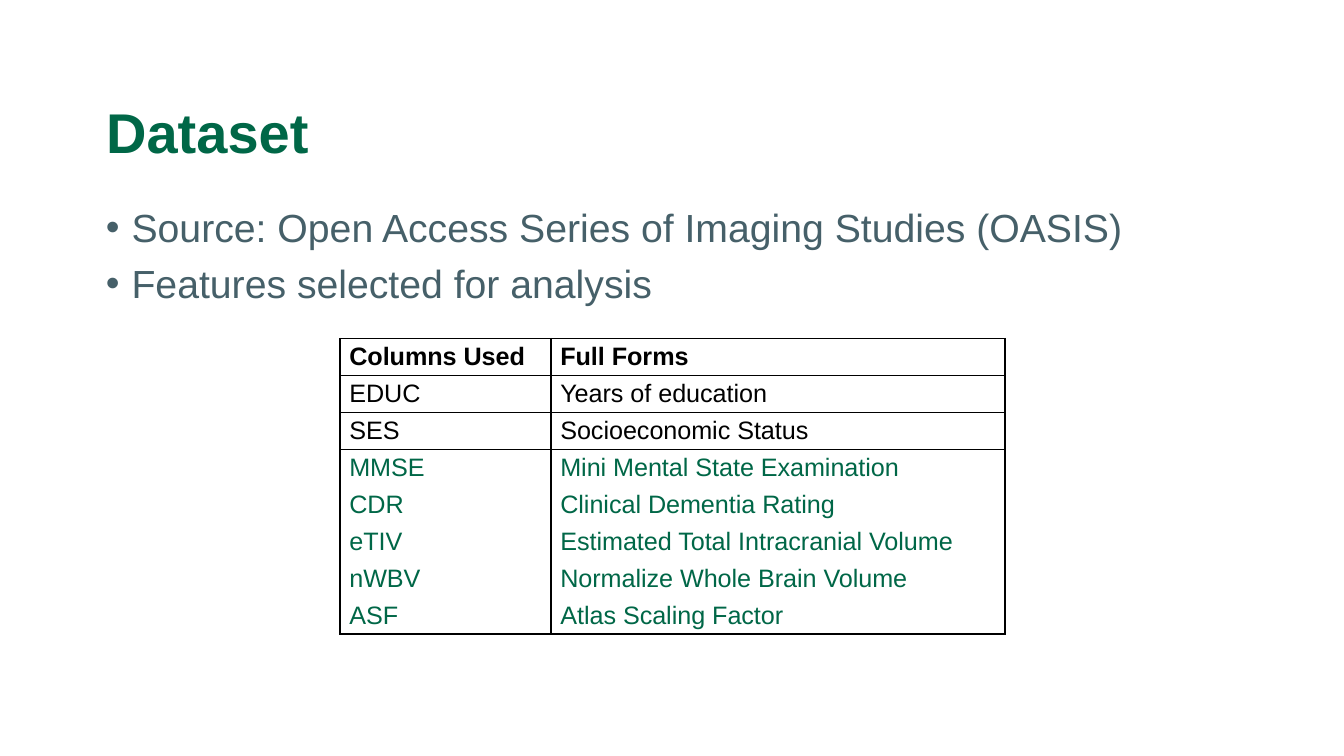
"""Build the Dataset slide with its bullets and feature table."""
import lxml.etree
import pptx
import pptx.dml.color
import pptx.enum.text
import pptx.oxml.ns
import pptx.util

Inches, Pt = pptx.util.Inches, pptx.util.Pt
RGB = pptx.dml.color.RGBColor.from_string
qn = pptx.oxml.ns.qn
MIDDLE = pptx.enum.text.MSO_ANCHOR.MIDDLE

TITLE = "Dataset"
BULLETS = [
    "Source: Open Access Series of Imaging Studies (OASIS)",
    "Features selected for analysis",
]
HEADER = ("Columns Used", "Full Forms")
SUBJECT_FEATURES = [
    ("EDUC", "Years of education"),
    ("SES", "Socioeconomic Status"),
]
CLINICAL_FEATURES = [
    ("MMSE", "Mini Mental State Examination"),
    ("CDR", "Clinical Dementia Rating"),
    ("eTIV", "Estimated Total Intracranial Volume"),
    ("nWBV", "Normalize Whole Brain Volume"),
    ("ASF", "Atlas Scaling Factor"),
]
THEME = {
    "font": "Arial", "green": "006747", "slate": "466069",
    "black": "000000", "white": "FFFFFF",
    "title": 30, "body": 21, "cell": 13.5, "border": 1,
}
SLIDE_WIDTH = 10
SLIDE_HEIGHT = SLIDE_WIDTH * 9 / 16
TITLE_BOX = (0.69, 0.63, 8.62, 0.76)
BODY_BOX = (0.69, 1.5, 8.62, 3.57)
TABLE_LEFT, TABLE_TOP, ROW_HEIGHT = 2.53, 2.52, 0.27
COLUMN_WIDTHS = (1.57, 3.38)
CELL_FORMAT = {
    "margin_left": Inches(0.07), "margin_right": Inches(0.07),
    "margin_top": Pt(1.8), "margin_bottom": Pt(1.8),
    "vertical_anchor": MIDDLE,
}
PARAGRAPH_FORMAT = {"alignment": pptx.enum.text.PP_ALIGN.LEFT, "line_spacing": 0.9}


def apply(target, values):
    for name, value in values.items():
        setattr(target, name, value)


def write(p, text, size, color, bold=False):
    r = p.add_run()
    r.text = text
    apply(r.font, {"name": THEME["font"], "size": Pt(THEME[size]), "bold": bold})
    r.font.color.rgb = RGB(THEME[color])


def add_title(slide):
    sp = slide.shapes.title
    apply(sp, dict(zip(("left", "top", "width", "height"), map(Inches, TITLE_BOX))))
    sp.text_frame.vertical_anchor = MIDDLE
    p = sp.text_frame.paragraphs[0]
    apply(p, PARAGRAPH_FORMAT)
    write(p, TITLE, "title", "green", True)


def add_bullets(slide):
    tf = slide.shapes.add_textbox(*map(Inches, BODY_BOX)).text_frame
    tf.word_wrap = True
    for i, text in enumerate(BULLETS):
        p = tf.add_paragraph() if i else tf.paragraphs[0]
        apply(p, PARAGRAPH_FORMAT | {"space_before": Pt(7.5)})
        write(p, text, "body", "slate")
        pPr = p._p.get_or_add_pPr()
        indent = Inches(0.19)
        pPr.set("marL", str(indent))
        pPr.set("indent", str(-indent))
        lxml.etree.SubElement(pPr, qn("a:buFont"), typeface=THEME["font"])
        lxml.etree.SubElement(pPr, qn("a:buChar"), char="•")


def set_borders(cell, sides):
    tcPr = cell._tc.get_or_add_tcPr()
    for side in "LRTB":
        ln = lxml.etree.SubElement(tcPr, qn(f"a:ln{side}"), w=str(Pt(THEME["border"])))
        if side in sides:
            fill = lxml.etree.SubElement(ln, qn("a:solidFill"))
            lxml.etree.SubElement(fill, qn("a:srgbClr"), val=THEME["black"])
        else:
            lxml.etree.SubElement(ln, qn("a:noFill"))


def add_features(slide):
    rows = [HEADER, *SUBJECT_FEATURES, *CLINICAL_FEATURES]
    first_clinical = 1 + len(SUBJECT_FEATURES)
    box = (TABLE_LEFT, TABLE_TOP, sum(COLUMN_WIDTHS), ROW_HEIGHT * len(rows))
    table = slide.shapes.add_table(len(rows), len(HEADER), *map(Inches, box)).table
    apply(table, {"first_row": False, "horz_banding": False})
    for column, width in zip(table.columns, COLUMN_WIDTHS):
        column.width = Inches(width)
    for i, row in enumerate(rows):
        table.rows[i].height = Inches(ROW_HEIGHT)
        color = "green" if i >= first_clinical else "black"
        sides = "LR"
        sides += "T" if i <= first_clinical else ""
        sides += "B" if i < first_clinical or i == len(rows) - 1 else ""
        for j, text in enumerate(row):
            cell = table.cell(i, j)
            apply(cell, CELL_FORMAT)
            write(cell.text_frame.paragraphs[0], text, "cell", color, i == 0)
            set_borders(cell, sides)
            cell.fill.solid()
            cell.fill.fore_color.rgb = RGB(THEME["white"])


def main():
    prs = pptx.Presentation()
    apply(prs, {"slide_width": Inches(SLIDE_WIDTH), "slide_height": Inches(SLIDE_HEIGHT)})
    slide = prs.slides.add_slide(prs.slide_layouts.get_by_name("Title Only"))
    add_title(slide)
    add_bullets(slide)
    add_features(slide)
    prs.save("out.pptx")


if __name__ == "__main__":
    main()
